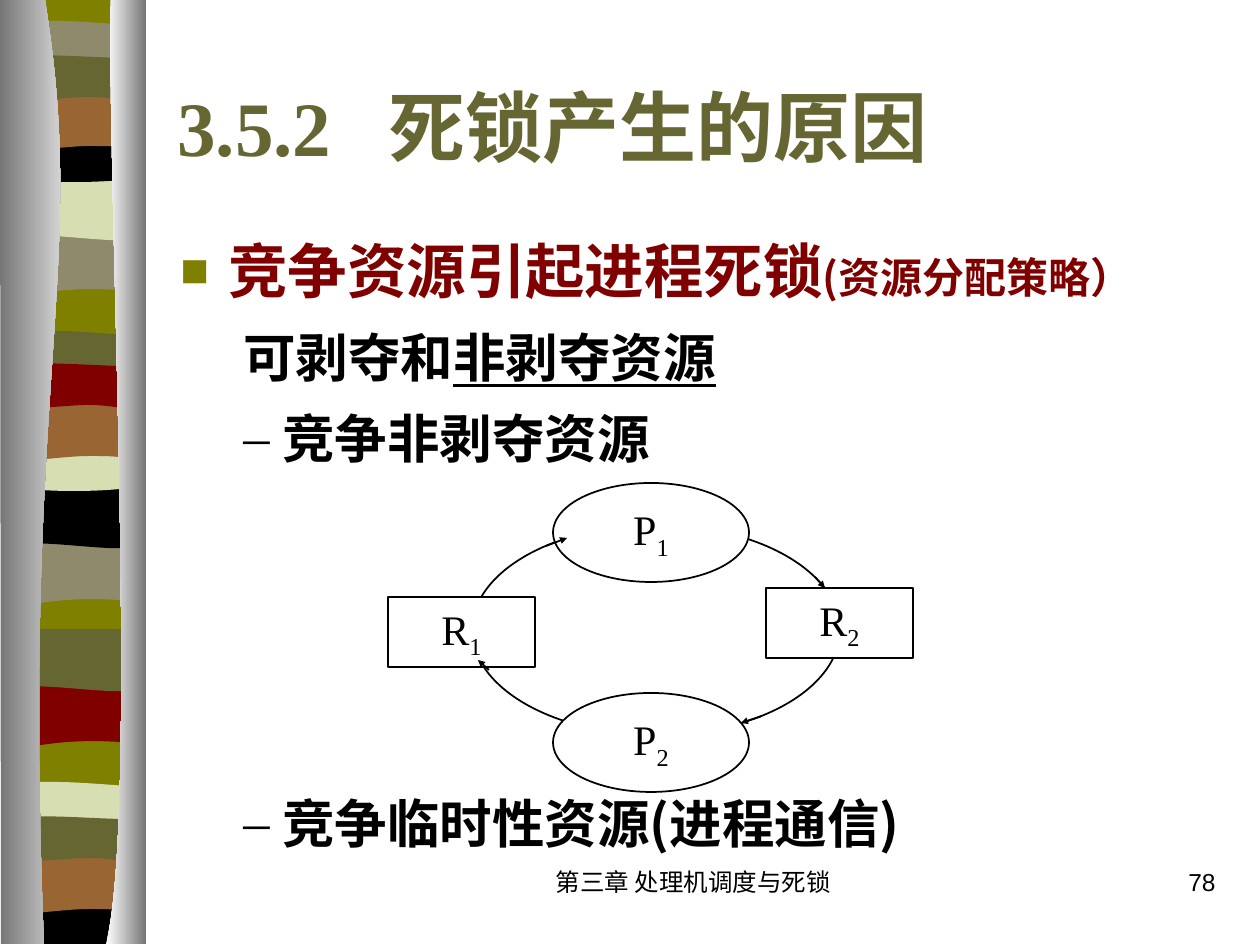
from lxml import etree
from pptx import Presentation
from pptx.dml.color import RGBColor
from pptx.enum.shapes import MSO_CONNECTOR, MSO_SHAPE
from pptx.enum.text import MSO_ANCHOR, PP_ALIGN
from pptx.oxml.ns import qn
from pptx.util import Emu, Pt

UNIT = 914400 / 126
RECT, OVAL = MSO_SHAPE.RECTANGLE, MSO_SHAPE.OVAL
LINE = MSO_CONNECTOR.STRAIGHT
TOP, MIDDLE = MSO_ANCHOR.TOP, MSO_ANCHOR.MIDDLE
LEFT, CENTER, RIGHT = PP_ALIGN.LEFT, PP_ALIGN.CENTER, PP_ALIGN.RIGHT
SANS, SERIF, ARIAL = "Noto Sans CJK SC", "Times New Roman", "Arial"

BLACK = RGBColor(0x00, 0x00, 0x00)
WHITE = RGBColor(0xFF, 0xFF, 0xFF)
OLIVE = RGBColor(0x80, 0x80, 0x00)
MOSS = RGBColor(0x66, 0x66, 0x33)
STONE = RGBColor(0x90, 0x8A, 0x6C)
PALE = RGBColor(0xD6, 0xDE, 0xB2)
BROWN = RGBColor(0x99, 0x66, 0x33)
RED = RGBColor(0x80, 0x00, 0x00)
GRAY = RGBColor(0x76, 0x76, 0x76)

DIP = [(136, 0), (136, 59), (42, 49, 23, 69, 0, 59), (0, 0)]
ROLL = [(136, 0), (136, 59), (113, 69, 42, 52, 0, 59), (0, 0)]
STRIP = [(136, 6), (136, 37), (113, 42, 23, 42, 0, 37), (0, 6),
         (8, 0, 29, 1, 52, 1), (74, 1, 118, 5, 136, 6)]
CAP = [(136, 0), (136, 40), (113, 48, 23, 48, 0, 40), (0, 0),
       (83, 6, 107, 0, 136, 0)]
ARCH = [(136, 0), (136, 59), (115, 53, 106, 53, 83, 53),
        (60, 53, 20, 59, 0, 59), (0, 0)]
WAVE = [(136, 6), (136, 45), (127, 52, 106, 45, 83, 45),
        (60, 45, 14, 52, 0, 45), (0, 6), (19, 0, 92, 6, 115, 6), (136, 6)]
BASE = [(136, 0), (136, 47), (0, 47), (0, 0), (83, 6, 107, 0, 136, 0)]
BACK = [(136, 0), (136, 942), (0, 942), (0, 0)]
POST = [(45, 0), (89, 272, 21, 373, 44, 944), (1, 944), (0, 0)]
EDGE = [(111, 0), (106, 158, 140, 814, 106, 944), (146, 944), (146, 0)]

BANDS = [
    (BACK, 7, -1, OLIVE),
    (DIP, 7, 233, STONE), (ROLL, 7, 178, PALE), (STRIP, 7, 20, STONE),
    (CAP, 7, 136, BLACK), (ARCH, 7, 93, BROWN), (WAVE, 7, 52, MOSS),
    (DIP, 6, 543, STONE), (ROLL, 6, 486, BLACK), (STRIP, 6, 330, MOSS),
    (CAP, 6, 445, PALE), (ARCH, 6, 403, BROWN), (WAVE, 6, 360, RED),
    (DIP, 7, 685, RED), (ROLL, 7, 629, MOSS), (STRIP, 6, 781, PALE),
    (BASE, 6, 897, BLACK), (ARCH, 6, 856, BROWN), (WAVE, 6, 813, MOSS),
]
NODES = [
    (RECT, "R", "1", (388, 597, 147, 70)),
    (RECT, "R", "2", (766, 588, 147, 70)),
    (OVAL, "P", "1", (553, 483, 196, 99)),
    (OVAL, "P", "2", (553, 693, 196, 99)),
]
ARROWS = [(815, 577, 825, 588), (762, 716, 741, 723),
          (489, 670, 478, 660), (546, 546, 567, 538)]


def px(*nums):
    return [Emu(round(n * UNIT)) for n in nums]


class Deck:
    def __init__(self):
        self.file = Presentation()
        self.file.slide_width, self.file.slide_height = px(1260, 945)
        self.slide = self.file.slides.add_slide(self.file.slide_layouts[6])
        self.shapes = self.slide.shapes

    def style(self, run, size, color=BLACK, face=SANS, bold=False):
        font = run.font
        font.size, font.bold, font.name = Pt(size), bold, face
        font.color.rgb = color
        etree.SubElement(run._r.get_or_add_rPr(), qn("a:ea"), typeface=SANS)

    def band(self, steps, x, y, color, end=None):
        spots = [(x + s[i], y + s[i + 1]) for s in steps for i in range(0, len(s), 2)]
        pen = self.shapes.build_freeform(*spots[0], scale=UNIT)
        pen.add_line_segments(spots[1:], close=True)
        shape = pen.convert_to_shape()
        self.bend(shape, steps[1:])
        shape.shadow.inherit = False
        shape.line.fill.background()
        if end is None:
            shape.fill.solid()
            shape.fill.fore_color.rgb = color
        else:
            shape.fill.gradient()
            shape.fill.gradient_angle = 0
            for stop, tint in zip(shape.fill.gradient_stops, (color, end)):
                stop.color.rgb = tint

    def bend(self, shape, steps):
        lines = iter(list(shape._element.iter(qn("a:lnTo"))))
        for step in steps:
            first = next(lines)
            if len(step) == 6:
                first.tag = qn("a:cubicBezTo")
                for _ in range(2):
                    line = next(lines)
                    first.append(line[0])
                    line.getparent().remove(line)

    def text(self, box, words, size, color=BLACK, face=SANS, bold=False,
             align=LEFT, anchor=TOP):
        frame = self.shapes.add_textbox(*px(*box)).text_frame
        frame.word_wrap = True
        frame.vertical_anchor = anchor
        frame.text = words
        para = frame.paragraphs[0]
        para.alignment = align
        for run in para.runs:
            self.style(run, size, color, face, bold)
        return frame

    def tab(self, para, x):
        tabs = etree.SubElement(para._p.get_or_add_pPr(), qn("a:tabLst"))
        etree.SubElement(tabs, qn("a:tab"), pos=str(px(x)[0]), algn="l")

    def item(self, para, words, size, color, line, gap, left, hang,
             mark=None, tint=BLACK, scale=100):
        para.text = words
        para.line_spacing = Pt(line)
        para.space_before = Pt(gap)
        prop = para._p.get_or_add_pPr()
        start, back = px(left, -hang)
        prop.set("marL", str(start))
        prop.set("indent", str(back))
        if mark:
            hue = etree.SubElement(prop, qn("a:buClr"))
            etree.SubElement(hue, qn("a:srgbClr"), val=str(tint))
            etree.SubElement(prop, qn("a:buSzPct"), val=str(scale * 1000))
            etree.SubElement(prop, qn("a:buFont"), typeface=SERIF)
            etree.SubElement(prop, qn("a:buChar"), char=mark)
        self.style(para.runs[0], size, color, bold=True)

    def more(self, para, words, size, color):
        run = para.add_run()
        run.text = words
        self.style(run, size, color, bold=True)
        return run

    def node(self, kind, box, name="", sub="", fill=WHITE):
        shape = self.shapes.add_shape(kind, *px(*box))
        shape.shadow.inherit = False
        shape.line.color.rgb = BLACK
        shape.line.width = Pt(1)
        if fill is None:
            shape.fill.background()
            return
        shape.fill.solid()
        shape.fill.fore_color.rgb = fill
        frame = shape.text_frame
        frame.vertical_anchor = MIDDLE
        frame.text = name
        para = frame.paragraphs[0]
        para.alignment = CENTER
        para.add_run().text = sub
        for run in para.runs:
            self.style(run, 24, face=SERIF)
        para.runs[1]._r.get_or_add_rPr().set("baseline", "-25000")

    def arrow(self, ends):
        link = self.shapes.add_connector(LINE, *px(*ends))
        link.line.color.rgb = BLACK
        link.line.width = Pt(1)
        etree.SubElement(link.line._get_or_add_ln(), qn("a:tailEnd"),
                         type="triangle", w="sm", len="sm")
        etree.SubElement(link._element.spPr, qn("a:effectLst"))


def main():
    deck = Deck()
    for band in BANDS:
        deck.band(*band)
    deck.band(POST, 0, 0, GRAY, WHITE)
    deck.band(EDGE, 0, 0, WHITE, GRAY)

    title = deck.text((165, 75, 964, 102), "3.5.2\t", 44, MOSS, SERIF, True, anchor=MIDDLE)
    head = title.paragraphs[0]
    deck.tab(head, 211)
    deck.more(head, "死锁产生的原因", 44, MOSS)

    body = deck.text((168, 220, 1018, 703), "", 30)
    first = body.paragraphs[0]
    deck.item(first, "竞争资源引起进程死锁", 34, RED, 45.5, 0, 48, 48, "■", OLIVE, 80)
    deck.more(first, "(资源分配策略）", 24, RED)
    kinds = body.add_paragraph()
    deck.item(kinds, "可剥夺和", 30, BLACK, 40, 7, 102, 39)
    deck.more(kinds, "非剥夺资源", 30, BLACK).font.underline = True
    for words, gap in (("竞争非剥夺资源", 6.5), ("竞争临时性资源(进程通信)", 180)):
        deck.item(body.add_paragraph(), words, 30, BLACK, 40, gap, 102, 39, "–")

    deck.node(OVAL, (472, 525, 368, 210), fill=None)
    for kind, name, sub, box in NODES:
        deck.node(kind, box, name, sub)
    for ends in ARROWS:
        deck.arrow(ends)

    deck.text((494, 861, 399, 63), "第三章 处理机调度与死锁", 14, face=ARIAL, align=CENTER)
    deck.text((966, 861, 262, 63), "78", 14, face=ARIAL, align=RIGHT)
    deck.file.save("out.pptx")


if __name__ == "__main__":
    main()
